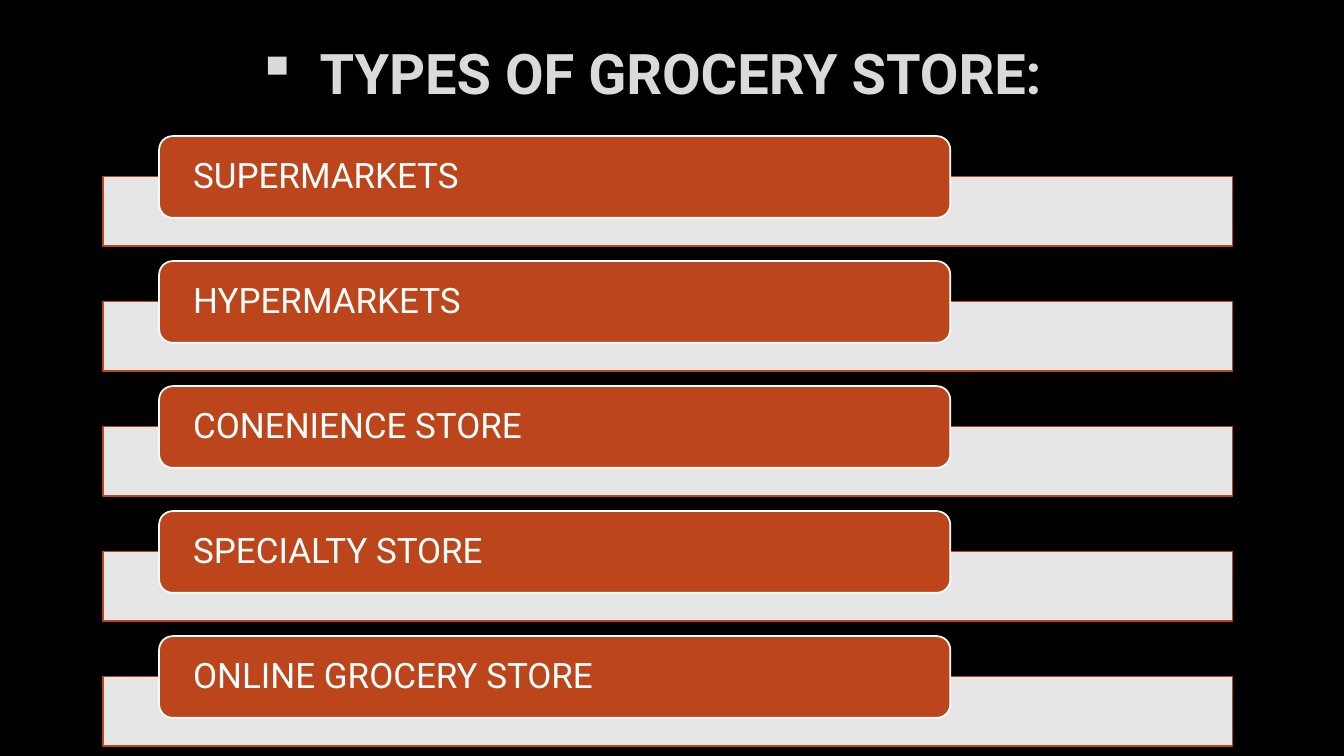
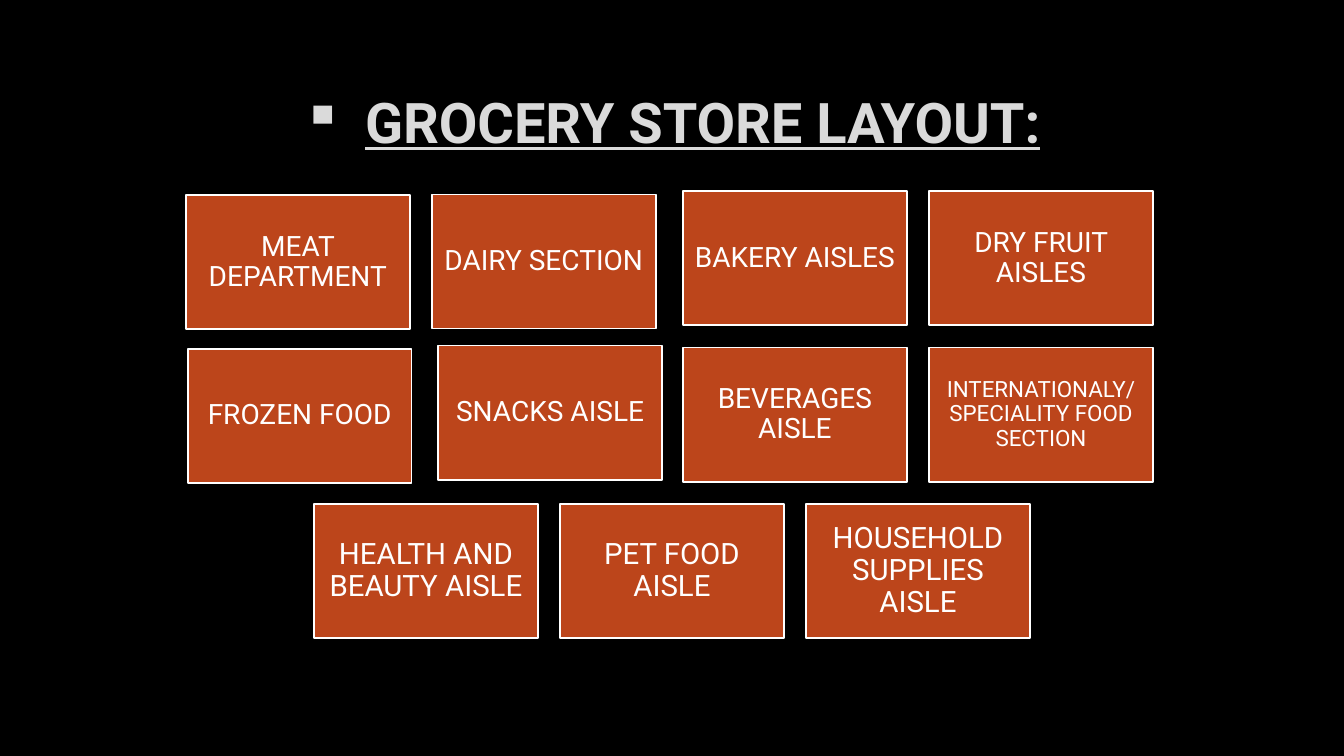
import pptx
import pptx.dml.color
import pptx.enum.shapes
import pptx.enum.text
import pptx.oxml.ns
import pptx.util
from lxml import etree

Cm, Pt = pptx.util.Cm, pptx.util.Pt
SHAPE = pptx.enum.shapes.MSO_SHAPE
ALIGN = pptx.enum.text.PP_ALIGN
qn = pptx.oxml.ns.qn

# Shared style
COLORS = {"background": "000000", "title": "DADADA", "accent": "BC451B", "white": "FFFFFF"}
FONT = "Roboto"
SLIDE_W, SLIDE_H = 33.87, 19.05
TITLE_W, TITLE_H, TITLE_INDENT = 28.75, 2.69, 1.59

# Slide 1: one label on one strip per store type
STORE_TYPES = ["SUPERMARKETS", "HYPERMARKETS", "CONENIENCE STORE",
               "SPECIALTY STORE", "ONLINE GROCERY STORE"]
LABEL_TOP, LABEL_PITCH, STRIP_DROP = 3.43, 3.15, 1.02

# Slide 2: centred rows of tiles, as (text, size, shift right, shift down)
TILE_W, TILE_H, TILE_GAP_X, TILE_GAP_Y, TILES_TOP = 5.64, 3.38, 0.56, 0.56, 4.82
AISLE_ROWS = [
    [("MEAT DEPARTMENT", 20, -0.13, 0.1), ("DAIRY SECTION", 20, -0.13, 0.08),
     ("BAKERY AISLES", 20, 0, 0), ("DRY FRUIT AISLES", 20, 0, 0)],
    [("FROZEN FOOD", 20, -0.08, 0.03), ("SNACKS AISLE", 20, 0.03, -0.05),
     ("BEVERAGES AISLE", 20, 0, 0),
     ("INTERNATIONALY/SPECIALITY FOOD SECTION", 16, 0, 0)],
    [("HEALTH AND BEAUTY AISLE", 21, 0, 0), ("PET FOOD AISLE", 21, 0, 0),
     ("HOUSEHOLD SUPPLIES AISLE", 21, 0, 0)],
]


def rgb(name):
    return pptx.dml.color.RGBColor.from_string(COLORS[name])


def add_box(s, kind, left, top, width, height, fill, line):
    box = s.shapes.add_shape(kind, Cm(left), Cm(top), Cm(width), Cm(height))
    box.shadow.inherit = False
    box.fill.solid()
    box.fill.fore_color.rgb = rgb(fill)
    box.line.color.rgb = rgb(line)
    box.line.width = Pt(1.25)
    return box


def set_text(shape, text, size, color, align, inset_x, inset_y):
    tf = shape.text_frame
    tf.word_wrap = True
    tf.vertical_anchor = pptx.enum.text.MSO_ANCHOR.MIDDLE
    tf.margin_left = tf.margin_right = Cm(inset_x)
    tf.margin_top = tf.margin_bottom = Cm(inset_y)
    tf.text = text
    p = tf.paragraphs[0]
    p.alignment = align
    r = p.runs[0]
    r.font.name = FONT
    r.font.size = Pt(size)
    r.font.color.rgb = rgb(color)
    return p


def add_title(s, text, left, top, underline=False):
    title = s.shapes.add_textbox(Cm(left), Cm(top), Cm(TITLE_W), Cm(TITLE_H))
    p = set_text(title, text, 40, "title", ALIGN.CENTER, 0.25, 0.13)
    p.runs[0].font.bold = True
    if underline:
        p.runs[0].font.underline = True
    # Square bullet with hanging indent
    pPr = p._p.get_or_add_pPr()
    pPr.set("marL", str(Cm(TITLE_INDENT)))
    pPr.set("indent", str(-Cm(TITLE_INDENT)))
    etree.SubElement(pPr, qn("a:buChar")).set("char", "▪")


def add_store_type(s, text, top):
    strip = add_box(s, SHAPE.RECTANGLE, 2.59, top + STRIP_DROP, 28.47, 1.75, "white", "accent")
    color = strip.fill._xPr.find(".//" + qn("a:srgbClr"))
    etree.SubElement(color, qn("a:alpha")).set("val", "90000")
    label = add_box(s, SHAPE.ROUNDED_RECTANGLE, 4.01, top, 19.94, 2.06, "accent", "white")
    set_text(label, text, 25, "white", ALIGN.LEFT, 0.76, 0).line_spacing = 0.9


def add_tile(s, text, size, left, top):
    tile = add_box(s, SHAPE.RECTANGLE, left, top, TILE_W, TILE_H, "accent", "white")
    inset = size / 100
    set_text(tile, text, size, "white", ALIGN.CENTER, inset, inset).line_spacing = 0.9


def add_tile_row(s, row, top):
    pitch = TILE_W + TILE_GAP_X
    left = (SLIDE_W - len(row) * pitch + TILE_GAP_X) / 2
    for i, (text, size, right, down) in enumerate(row):
        add_tile(s, text, size, left + i * pitch + right, top + down)


def main():
    prs = pptx.Presentation()
    prs.slide_width, prs.slide_height = Cm(SLIDE_W), Cm(SLIDE_H)
    background = prs.slide_master.background.fill
    background.solid()
    background.fore_color.rgb = rgb("background")
    blank = prs.slide_layouts[6]

    # Types of store
    s = prs.slides.add_slide(blank)
    add_title(s, "TYPES OF GROCERY STORE:", 1.98, 0.48)
    for i, text in enumerate(STORE_TYPES):
        add_store_type(s, text, LABEL_TOP + i * LABEL_PITCH)

    # Store layout
    s = prs.slides.add_slide(blank)
    add_title(s, "GROCERY STORE LAYOUT:", 2.54, 1.7, underline=True)
    for i, row in enumerate(AISLE_ROWS):
        add_tile_row(s, row, TILES_TOP + i * (TILE_H + TILE_GAP_Y))

    prs.save("out.pptx")


if __name__ == "__main__":
    main()
